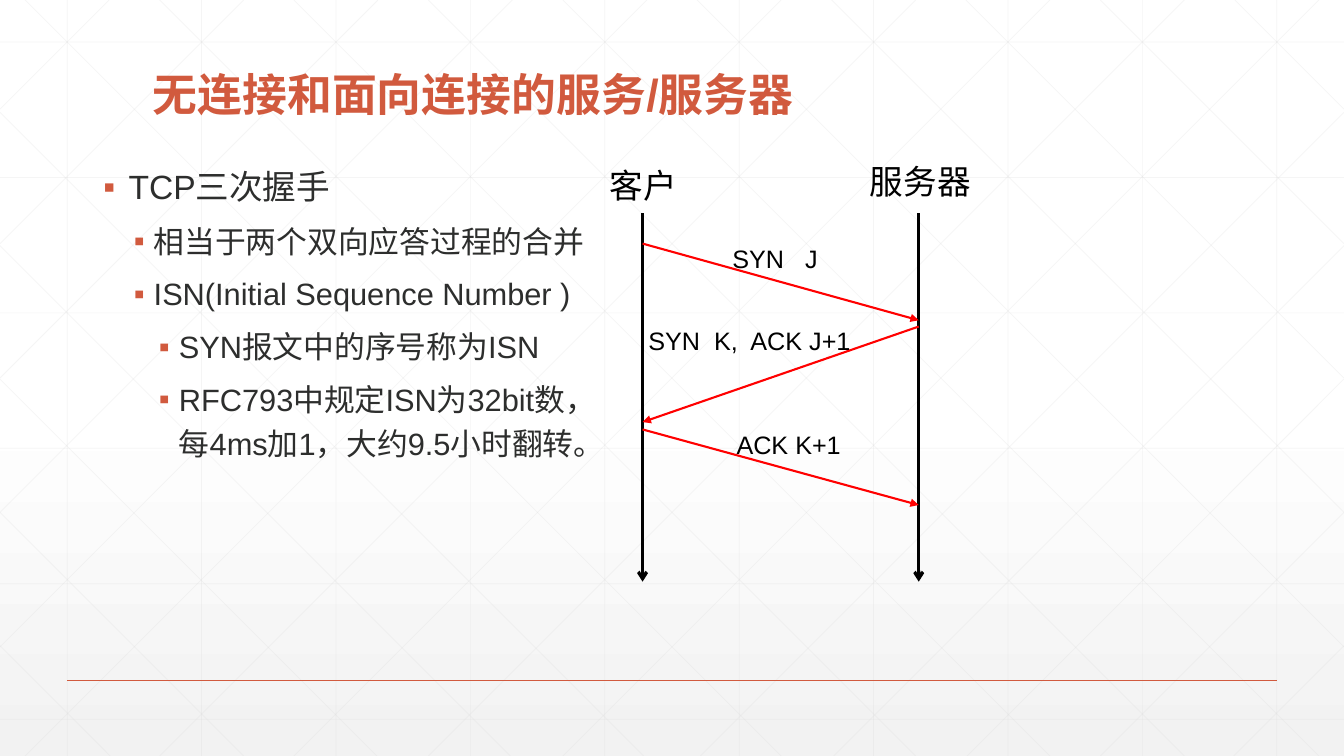
import lxml.etree
import pptx
import pptx.dml.color
import pptx.enum.shapes
import pptx.enum.text
import pptx.oxml.ns
import pptx.util

SLIDE_W, SLIDE_H = 1280, 720
ACCENT, INK, BLACK, RED, GRID = "D15A3E", "2D2E2D", "000000", "FF0000", "D9D9D9"


def px(length):
    return pptx.util.Emu(round(length * 9525))


def rgb(value):
    return pptx.dml.color.RGBColor.from_string(value)


def add_xml(parent, tag, **attributes):
    return lxml.etree.SubElement(parent, pptx.oxml.ns.qn(tag), attributes)


def add_line(slide, start, end, color, width, head=None, opacity=None):
    line = slide.shapes.add_connector(
        pptx.enum.shapes.MSO_CONNECTOR.STRAIGHT, *map(px, (*start, *end)))
    line.line.color.rgb = rgb(color)
    line.line.width = pptx.util.Pt(width)
    properties = line._element.spPr
    outline = properties.find(pptx.oxml.ns.qn("a:ln"))
    if opacity:
        color_node = outline.find(".//" + pptx.oxml.ns.qn("a:srgbClr"))
        add_xml(color_node, "a:alpha", val=str(opacity * 1000))
    if head:
        add_xml(outline, "a:tailEnd", type=head)
    add_xml(properties, "a:effectLst")


def place(shape, box):
    shape.left, shape.top, shape.width, shape.height = map(px, box)


def write(paragraph, text, size, color, bold=False, spacing=None, before=None):
    paragraph.alignment = pptx.enum.text.PP_ALIGN.LEFT
    if spacing:
        paragraph.line_spacing = spacing
    if before is not None:
        paragraph.space_before = pptx.util.Pt(before)
    run = paragraph.add_run()
    run.text = text
    run.font.name = "Arial"
    run.font.size = pptx.util.Pt(size)
    run.font.bold = bold
    run.font.color.rgb = rgb(color)


def add_label(slide, text, box, size, wrap=True):
    label = slide.shapes.add_textbox(*map(px, box))
    label.text_frame.word_wrap = wrap
    write(label.text_frame.paragraphs[0], text, size, BLACK)


def draw_backdrop(slide):
    fill = slide.background.fill
    fill.gradient()
    fill.gradient_angle = 270
    for stop, position, color in zip(fill.gradient_stops, (0.53, 1), ("FFFFFF", "F2F2F2")):
        stop.position = position
        stop.color.rgb = rgb(color)

    grid = [((x, 0), (x, SLIDE_H)) for x in range(64, SLIDE_W, 128)]
    grid += [((0, y), (SLIDE_W, y)) for y in range(40, SLIDE_H, 129)]
    diagonals = []
    for x in range(24, SLIDE_W, 128):
        drop = min(SLIDE_H, SLIDE_W - x)
        diagonals.append(((x, 0), (x + drop, drop)))
    for y in range(107, SLIDE_H, 127):
        diagonals.append(((0, y), (SLIDE_H - y, SLIDE_H)))
    mirrored = [tuple((SLIDE_W - x, y) for x, y in ends) for ends in diagonals]
    for start, end in grid + diagonals + mirrored:
        add_line(slide, start, end, GRID, 0.5, opacity=25)
    add_line(slide, (64, 648), (SLIDE_W - 64, 648), ACCENT, 1)


def fill_title(slide, box):
    title = slide.shapes.title
    title._element.getparent().append(title._element)  # in front of the grid
    place(title, box)
    frame = title.text_frame
    frame.auto_size = pptx.enum.text.MSO_AUTO_SIZE.NONE
    frame.vertical_anchor = pptx.enum.text.MSO_ANCHOR.BOTTOM
    write(frame.paragraphs[0], "无连接和面向连接的服务/服务器", 32, ACCENT,
          bold=True, spacing=0.9, before=0)


def add_outline(slide, box):
    points = [
        (0, "TCP三次握手"),
        (1, "相当于两个双向应答过程的合并"),
        (1, "ISN(Initial Sequence Number )"),
        (2, "SYN报文中的序号称为ISN"),
        (2, "RFC793中规定ISN为32bit数，每4ms加1，大约9.5小时翻转。"),
    ]
    frame = slide.shapes.add_textbox(*map(px, box)).text_frame
    frame.word_wrap = True
    for index, (level, text) in enumerate(points):
        paragraph = frame.add_paragraph() if index else frame.paragraphs[0]
        paragraph.level = level
        properties = paragraph._p.get_or_add_pPr()
        properties.set("marL", str(px(24 * (level + 1))))
        properties.set("indent", str(-px(19 if level else 24)))
        add_xml(add_xml(properties, "a:buClr"), "a:srgbClr", val=ACCENT)
        add_xml(properties, "a:buFont", typeface="Arial")
        add_xml(properties, "a:buChar", char="▪")
        write(paragraph, text, 22 if level else 24, INK,
              spacing=1.2, before=6 if index else 0)


def draw_handshake(slide, box):
    """Draw two lifelines on the box's sides and the messages between them."""
    left, top, width, height = box
    client, server = left, left + width
    for x in (client, server):
        add_line(slide, (x, top), (x, top + height), BLACK, 2.25, head="arrow")
    messages = [
        (client, 29, server, 102, "SYN   J", (76, 24, 177, 31)),
        (server, 108, client, 199, "SYN  K,  ACK J+1", (-4, 102, 219, 38)),
        (client, 206, server, 278, "ACK K+1", (80, 201, 177, 38)),
    ]
    for sender, sent, receiver, received, text, (x, y, w, h) in messages:
        add_line(slide, (sender, top + sent), (receiver, top + received),
                 RED, 1.5, head="triangle")
        add_label(slide, text, (left + x, top + y, w, h), 18)
    add_label(slide, "客户", (client - 41, top - 51, 84, 48), 24, wrap=False)
    add_label(slide, "服务器", (server - 56, top - 54, 116, 48), 24, wrap=False)


def main():
    presentation = pptx.Presentation()
    presentation.slide_width, presentation.slide_height = px(SLIDE_W), px(SLIDE_H)
    slide = presentation.slides.add_slide(presentation.slide_layouts.get_by_name("Title Only"))
    draw_backdrop(slide)
    fill_title(slide, (136, 0, 1008, 120))
    add_outline(slide, (89, 146, 488, 478))
    draw_handshake(slide, (612, 203, 263, 351))
    presentation.save("out.pptx")


if __name__ == "__main__":
    main()
